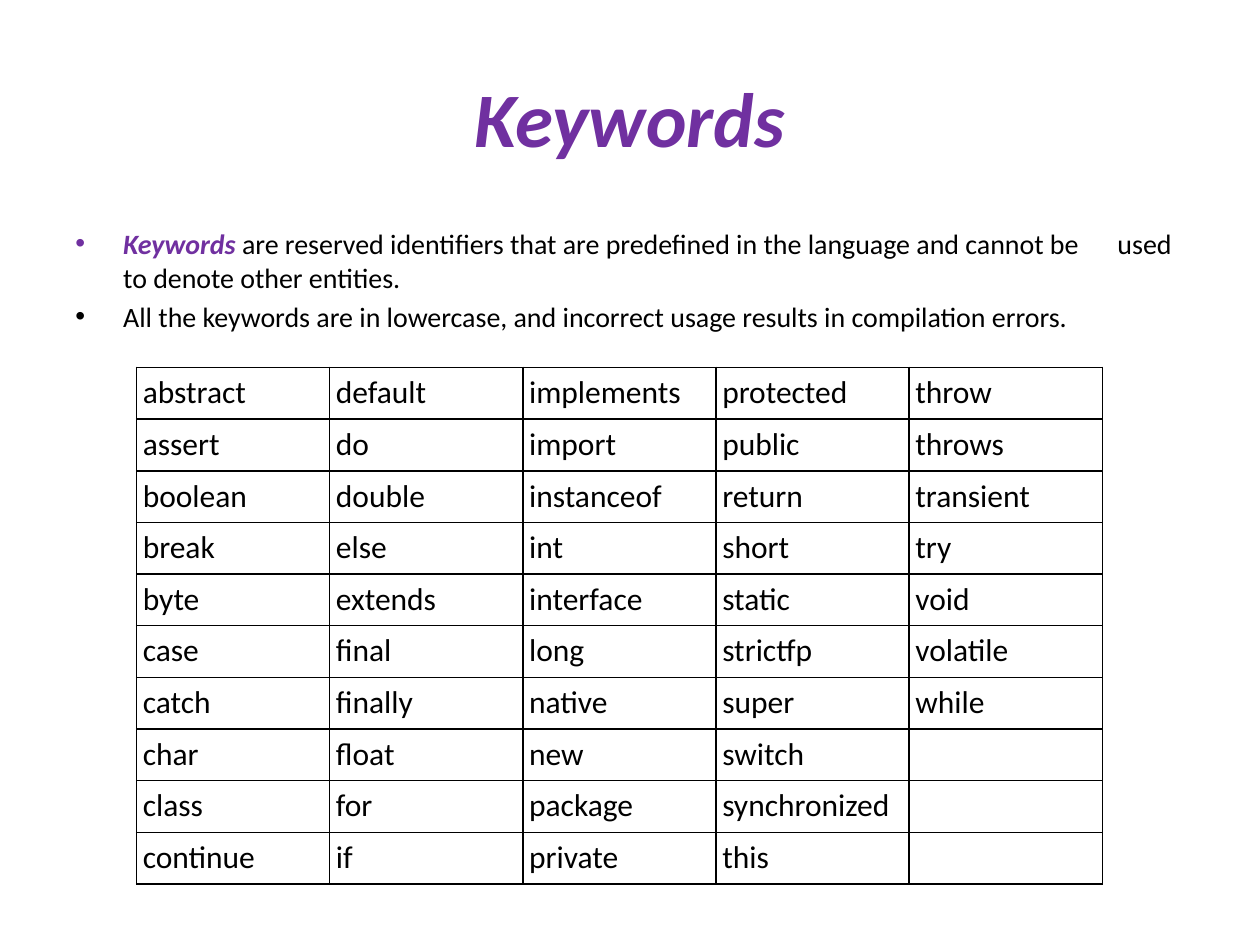
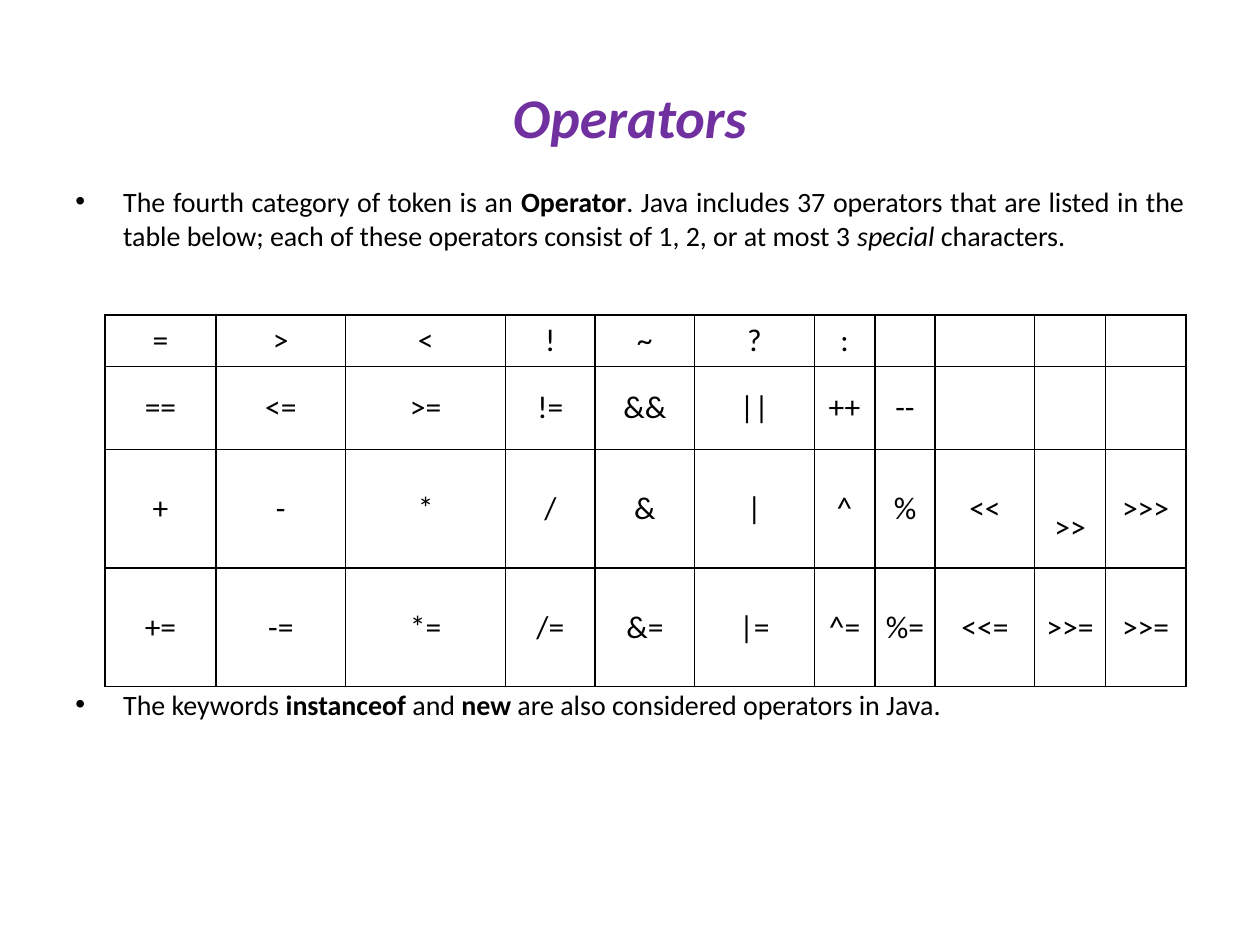
from dataclasses import dataclass
from itertools import zip_longest

from lxml.etree import SubElement
from pptx import Presentation
from pptx.dml.color import RGBColor
from pptx.enum.text import MSO_ANCHOR, PP_ALIGN
from pptx.oxml.ns import qn
from pptx.util import Inches, Pt

FONT = "Calibri"
BLACK, WHITE, PURPLE = "000000", "FFFFFF", "7030A0"
UNIT = 1 / 12  # the slide is a grid of 120 columns by 90 rows
CELL_MARGIN = 0.6
BODY_SIZE, CELL_SIZE = 16, 18
PARAGRAPH_GAP = 0.2 * BODY_SIZE


@dataclass(frozen=True)
class Box:
    """A rectangle in grid columns and rows."""
    left: float
    top: float
    width: float
    height: float

    def lengths(self) -> list:
        """Return left, top, width and height as slide lengths."""
        return [grid(value) for value in (self.left, self.top, self.width, self.height)]


@dataclass(frozen=True)
class Run:
    """A piece of text with one format."""
    text: str
    bold: bool = False
    italic: bool = False
    color: str = BLACK
    spacing: float = 0


@dataclass(frozen=True)
class Bullet:
    """A bulleted paragraph."""
    runs: list
    align: PP_ALIGN = PP_ALIGN.LEFT
    space_before: float = PARAGRAPH_GAP


@dataclass(frozen=True)
class GridTable:
    """A ruled table whose column widths and row heights are in grid units."""
    left: float
    top: float
    columns: list
    rows: list
    cells: list
    align: PP_ALIGN = PP_ALIGN.LEFT
    anchor: MSO_ANCHOR = MSO_ANCHOR.TOP
    fill: str | None = None


TITLE_BOX = Box(6, 3.6, 108, 15)


def grid(units: float):
    """Turn grid units into a slide length."""
    return Inches(units * UNIT)


def rgb(color: str) -> RGBColor:
    """Turn a hex string into a colour."""
    return RGBColor.from_string(color)


def add_text(paragraph, text: str, *, size: float, color: str = BLACK, bold: bool = False,
             italic: bool = False, spacing: float = 0) -> None:
    """Append formatted text to a paragraph; spacing is extra points per letter."""
    run = paragraph.add_run()
    run.text = text
    run.font.name, run.font.size = FONT, Pt(size)
    run.font.bold, run.font.italic = bold, italic
    run.font.color.rgb = rgb(color)
    if spacing:
        run.font._element.set("spc", str(int(spacing * 100)))


def add_frame(slide, box: Box, anchor: MSO_ANCHOR):
    """Add a wrapping text box and return its text frame."""
    frame = slide.shapes.add_textbox(*box.lengths()).text_frame
    frame.word_wrap = True
    frame.vertical_anchor = anchor
    return frame


def add_title(slide, text: str, size: float) -> None:
    """Add the centred purple title."""
    paragraph = add_frame(slide, TITLE_BOX, MSO_ANCHOR.MIDDLE).paragraphs[0]
    paragraph.alignment = PP_ALIGN.CENTER
    add_text(paragraph, text, size=size, color=PURPLE, bold=True, italic=True)


def add_bullets(slide, box: Box, bullets: list) -> None:
    """Add a body of bulleted paragraphs with hanging indents."""
    frame = add_frame(slide, box, MSO_ANCHOR.TOP)
    for index, bullet in enumerate(bullets):
        paragraph = frame.add_paragraph() if index else frame.paragraphs[0]
        paragraph.alignment = bullet.align
        paragraph.space_before = Pt(bullet.space_before)
        properties = paragraph._p.get_or_add_pPr()
        indent = Inches(0.38)
        properties.set("marL", str(indent))
        properties.set("indent", str(-indent))
        SubElement(properties, qn("a:buFont"), typeface="Arial")
        SubElement(properties, qn("a:buChar"), char="•")
        for run in bullet.runs:
            add_text(paragraph, run.text, size=BODY_SIZE, color=run.color, bold=run.bold,
                     italic=run.italic, spacing=run.spacing)


def rule_cell(cell) -> None:
    """Draw a one point black line on each side of a cell."""
    properties = cell._tc.get_or_add_tcPr()
    for index, side in enumerate(("lnL", "lnR", "lnT", "lnB")):
        line = SubElement(properties, qn(f"a:{side}"), w=str(Pt(1)))
        SubElement(SubElement(line, qn("a:solidFill")), qn("a:srgbClr"), val=BLACK)
        properties.insert(index, line)


def add_grid_table(slide, data: GridTable):
    """Add a ruled table and return it."""
    box = Box(data.left, data.top, sum(data.columns), sum(data.rows))
    table = slide.shapes.add_table(len(data.rows), len(data.columns), *box.lengths()).table
    table.first_row = table.horz_banding = False
    for column, width in zip(table.columns, data.columns):
        column.width = grid(width)
    for row, height, texts in zip(table.rows, data.rows, data.cells):
        row.height = grid(height)
        for cell, text in zip_longest(row.cells, texts, fillvalue=""):
            cell.margin_left = cell.margin_right = grid(CELL_MARGIN)
            cell.margin_top = cell.margin_bottom = grid(CELL_MARGIN)
            cell.vertical_anchor = data.anchor
            if data.fill:
                cell.fill.solid()
                cell.fill.fore_color.rgb = rgb(data.fill)
            else:
                cell.fill.background()
            rule_cell(cell)
            paragraph = cell.text_frame.paragraphs[0]
            paragraph.alignment = data.align
            if text:
                add_text(paragraph, text, size=CELL_SIZE)
    return table


KEYWORD_COLUMNS = [
    "abstract assert boolean break byte case catch char class continue",
    "default do double else extends final finally float for if",
    "implements import instanceof int interface long native new package private",
    "protected public return short static strictfp super switch synchronized this",
    "throw throws transient try void volatile while",
]
OPERATOR_ROWS = [
    "= > < ! ~ ? :",
    "== <= >= != && || ++ --",
    "+ - * / & | ^ % << >> >>>",
    "+= -= *= /= &= |= ^= %= <<= >>= >>=",
]


def build_keywords(slide) -> None:
    """Build the slide on reserved keywords."""
    add_title(slide, "Keywords", 44)
    add_bullets(slide, Box(6, 21, 109, 66), [
        Bullet([
            Run("Keywords ", bold=True, italic=True, color=PURPLE),
            Run("are reserved identifiers that are predefined in the language and cannot be"),
            Run(" ", spacing=18),
            Run("used to denote other entities."),
        ]),
        Bullet([Run("All the keywords are in lowercase, and incorrect usage results in "
                    "compilation errors.")]),
    ])
    columns = [column.split() for column in KEYWORD_COLUMNS]
    add_grid_table(slide, GridTable(
        13, 35, columns=[18.4] * 5, rows=[4.92] * 10,
        cells=list(zip_longest(*columns, fillvalue=""))))


def build_operators(slide) -> None:
    """Build the slide on operators."""
    add_title(slide, "Operators", 32)
    add_bullets(slide, Box(6, 17, 108, 63.4), [
        Bullet([
            Run("The fourth category of token is an "),
            Run("Operator", bold=True),
            Run(". Java includes 37 operators that are listed in the table below; each of "
                "these operators consist of 1, 2, or at most 3 "),
            Run("special", italic=True),
            Run(" characters."),
        ], align=PP_ALIGN.JUSTIFY),
        Bullet([
            Run("The keywords "),
            Run("instanceof", bold=True),
            Run(" and "),
            Run("new", bold=True),
            Run(" are also considered operators in Java."),
        ], align=PP_ALIGN.JUSTIFY, space_before=249),  # leaves room for the table
    ])
    table = add_grid_table(slide, GridTable(
        10, 30,
        columns=[10.56, 12.36, 15.24, 8.52, 9.48, 11.4, 5.76, 5.76, 9.48, 6.72, 7.68],
        rows=[4.9, 7.9, 11.3, 11.3],
        cells=[row.split() for row in OPERATOR_ROWS],
        align=PP_ALIGN.CENTER, anchor=MSO_ANCHOR.MIDDLE, fill=WHITE))
    shift_right = table.cell(2, 9)  # this operator sits one line lower
    shift_right.margin_top = grid(CELL_MARGIN) + Pt(22)


def main() -> None:
    """Build and save the presentation."""
    presentation = Presentation()
    presentation.slide_width, presentation.slide_height = grid(120), grid(90)
    blank_layout = presentation.slide_layouts[6]
    for build in (build_keywords, build_operators):
        build(presentation.slides.add_slide(blank_layout))
    presentation.save("out.pptx")


main()
